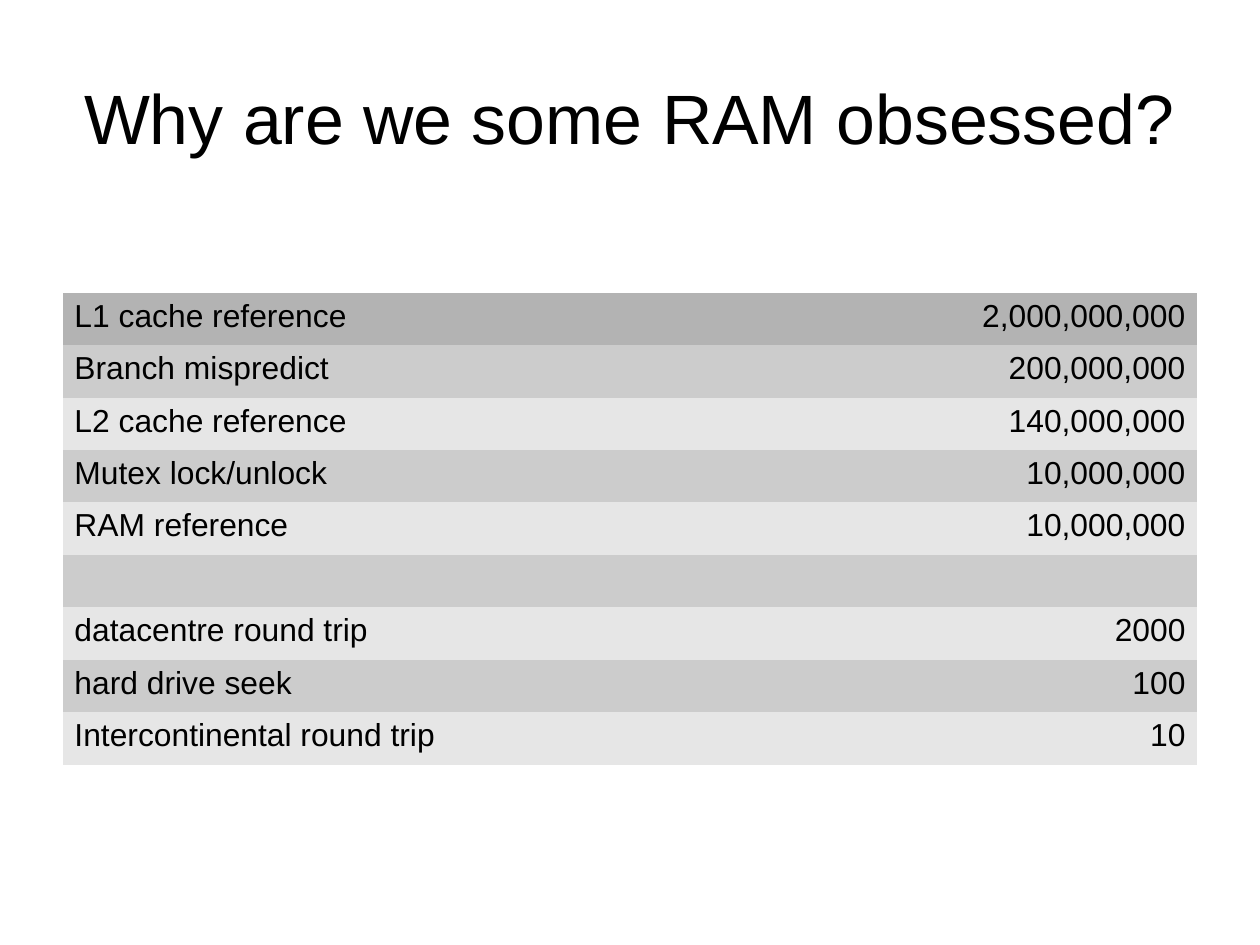
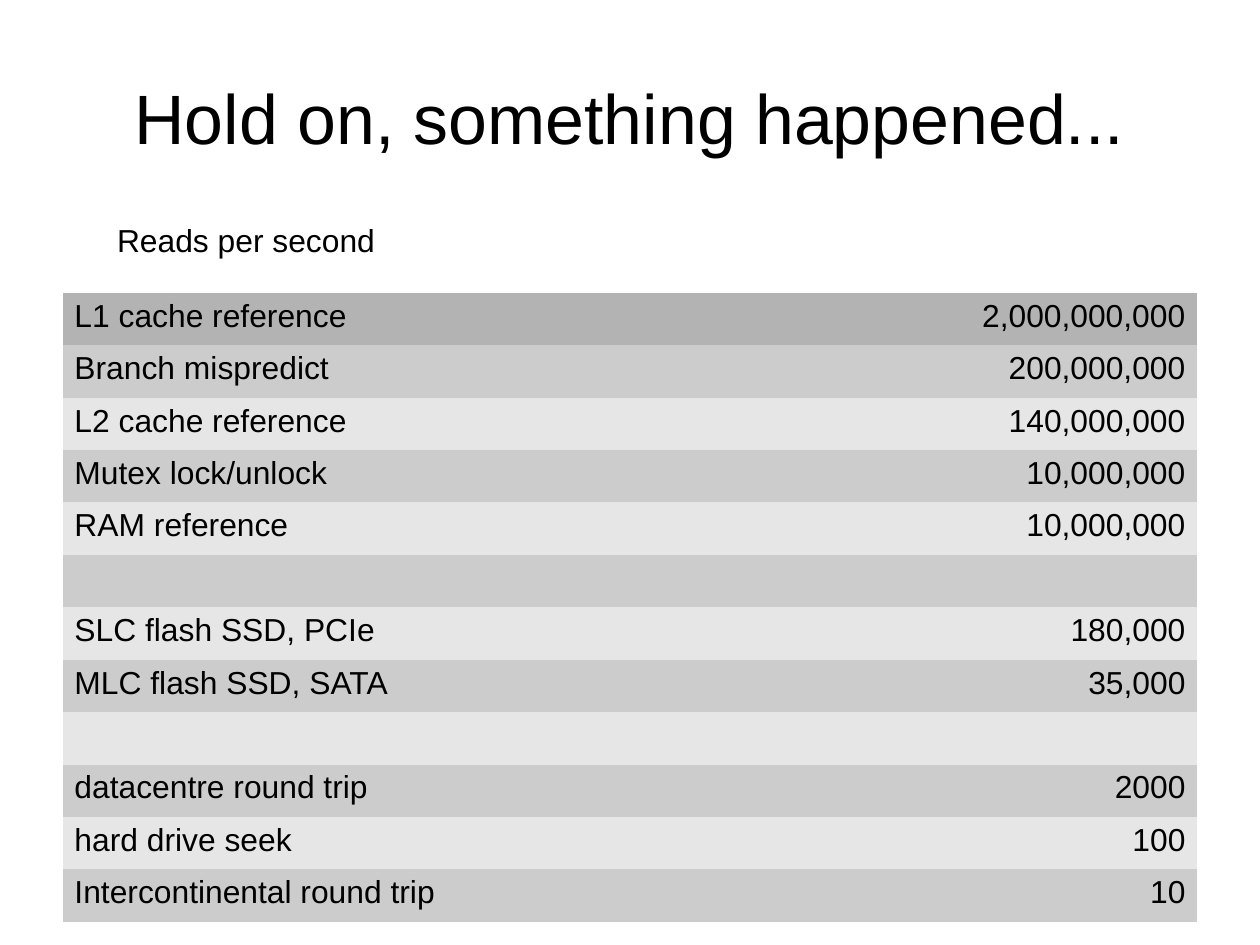
from pptx import Presentation
from pptx.dml.color import RGBColor
from pptx.enum.text import MSO_ANCHOR, MSO_AUTO_SIZE, PP_ALIGN
from pptx.oxml.ns import qn
from pptx.util import Pt

TITLE_AND_BODY, TITLE_ONLY = 1, 5
NO_STYLE_NO_GRID = "{2D5ABB26-0587-4C30-8999-92F81FD0307C}"

MEMORY = [
    ("L1 cache reference", "2,000,000,000"),
    ("Branch mispredict", "200,000,000"),
    ("L2 cache reference", "140,000,000"),
    ("Mutex lock/unlock", "10,000,000"),
    ("RAM reference", "10,000,000"),
]
FLASH = [("SLC flash SSD, PCIe", "180,000"), ("MLC flash SSD, SATA", "35,000")]
REMOTE = [
    ("datacentre round trip", "2000"),
    ("hard drive seek", "100"),
    ("Intercontinental round trip", "10"),
]
GAP = [("", "")]


def rgb(value):
    return RGBColor.from_string(value)


class Deck:
    FONT, INK = "Arial", "000000"
    TITLE_SIZE, TEXT_SIZE = 44, 20
    HEADER, BANDS = "B3B3B3", ("CCCCCC", "E6E6E6")
    LEFT, WIDTH = 39.7, 714.3
    TABLE_TOP, ROW_HEIGHT = 184.4, 33.05

    def __init__(self):
        self.prs = Presentation()
        self.prs.slide_width, self.prs.slide_height = Pt(793.7), Pt(595.3)

    def add_text(self, p, text, size, align):
        p.alignment = align
        r = p.add_run()
        r.text = text
        r.font.name, r.font.size = self.FONT, Pt(size)
        r.font.color.rgb = rgb(self.INK)

    def place(self, sp, top, height, anchor):
        """Move a placeholder into the content column and clear its insets."""
        sp.left, sp.top = Pt(self.LEFT), Pt(top)
        sp.width, sp.height = Pt(self.WIDTH), Pt(height)
        tf = sp.text_frame
        tf.margin_left = tf.margin_top = tf.margin_right = tf.margin_bottom = 0
        tf.word_wrap, tf.vertical_anchor = True, anchor
        tf.auto_size = MSO_AUTO_SIZE.NONE
        return tf.paragraphs[0]

    def slide(self, title, layout):
        self.s = self.prs.slides.add_slide(self.prs.slide_layouts[layout])
        p = self.place(self.s.shapes.title, 23.7, 99.4, MSO_ANCHOR.MIDDLE)
        self.add_text(p, title, self.TITLE_SIZE, PP_ALIGN.CENTER)

    def body(self, text):
        p = self.place(self.s.placeholders[1], 139.3, 393, MSO_ANCHOR.TOP)
        pPr = p._p.get_or_add_pPr()
        pPr.set("marL", str(Pt(34)))
        pPr.set("indent", "0")
        pPr.append(pPr.makeelement(qn("a:buNone"), {}))
        p.space_before, p.space_after = Pt(0), Pt(14.1)
        self.add_text(p, text, self.TEXT_SIZE, PP_ALIGN.LEFT)

    def table(self, rows):
        frame = self.s.shapes.add_table(
            len(rows), 2, Pt(self.LEFT), Pt(self.TABLE_TOP),
            Pt(self.WIDTH), Pt(self.ROW_HEIGHT * len(rows)))
        for style in frame._element.iter(qn("a:tableStyleId")):
            style.text = NO_STYLE_NO_GRID
        table = frame.table
        table.horz_banding = False
        for i, row in enumerate(rows):
            table.rows[i].height = Pt(self.ROW_HEIGHT)
            fill = self.BANDS[(i - 1) % 2] if i else self.HEADER
            for j, align in enumerate((PP_ALIGN.LEFT, PP_ALIGN.RIGHT)):
                cell = table.cell(i, j)
                cell.fill.solid()
                cell.fill.fore_color.rgb = rgb(fill)
                if row[j]:
                    self.add_text(cell.text_frame.paragraphs[0], row[j],
                                  self.TEXT_SIZE, align)


def main():
    deck = Deck()
    deck.slide("Why are we some RAM obsessed?", TITLE_ONLY)
    deck.table(MEMORY + GAP + REMOTE)

    deck.slide("Hold on, something happened...", TITLE_AND_BODY)
    deck.body("Reads per second")
    deck.table(MEMORY + GAP + FLASH + GAP + REMOTE)
    deck.prs.save("out.pptx")


if __name__ == "__main__":
    main()
